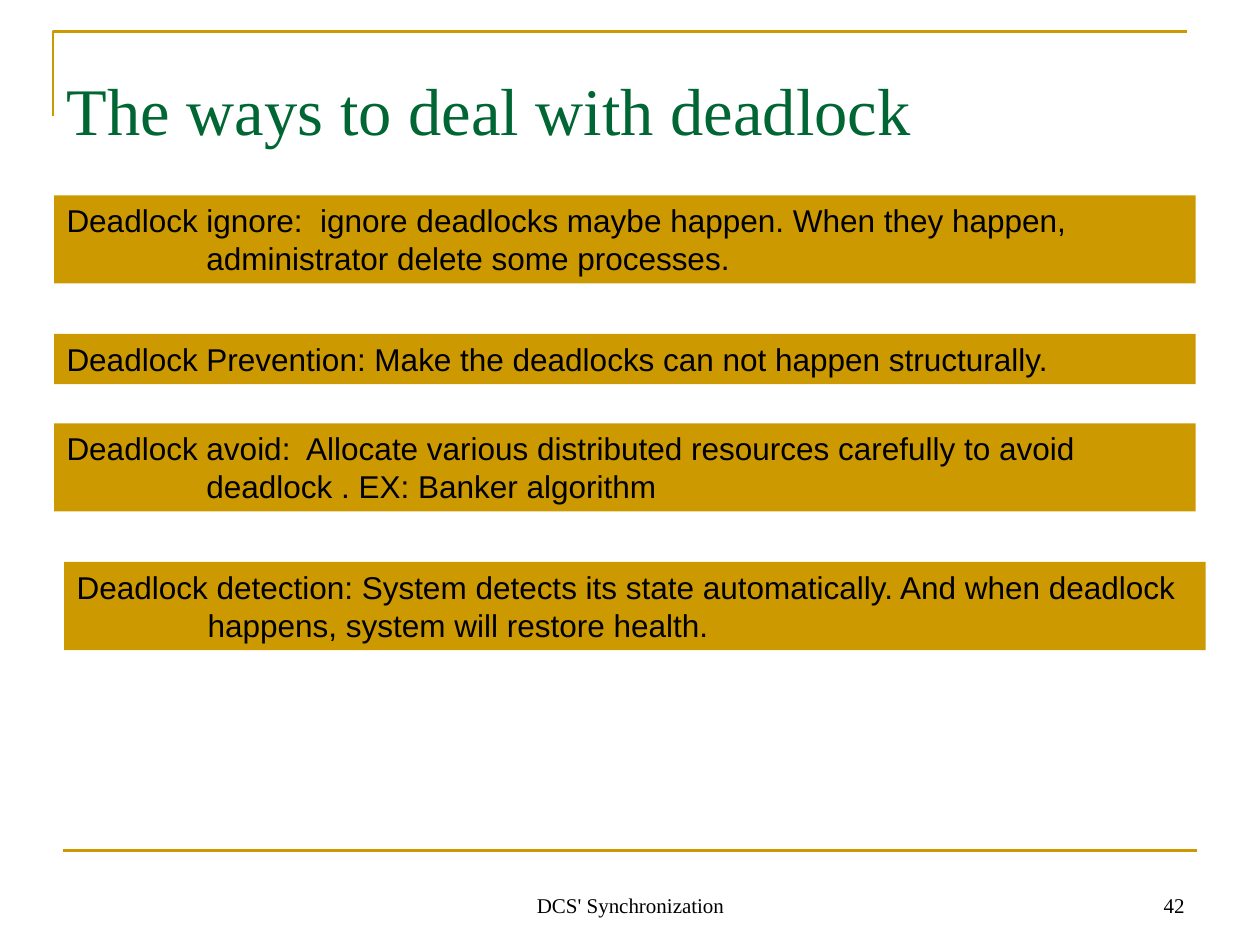
from pptx import Presentation
from pptx.dml.color import RGBColor
from pptx.enum.shapes import MSO_CONNECTOR, MSO_SHAPE
from pptx.enum.text import MSO_ANCHOR, PP_ALIGN
from pptx.oxml.ns import qn
from pptx.util import Inches, Pt

LINE, RECT = MSO_CONNECTOR.STRAIGHT, MSO_SHAPE.RECTANGLE
TOP, LOW = MSO_ANCHOR.TOP, MSO_ANCHOR.BOTTOM
LEFT, MID, RIGHT = PP_ALIGN.LEFT, PP_ALIGN.CENTER, PP_ALIGN.RIGHT
GOLD, GREEN, BLACK = "CC9900", "006633", "000000"
SERIF, SANS = "Times New Roman", "Arial"


def paint(part, tone):
    part.rgb = RGBColor.from_string(tone)


def write(shape, lines, size, face, tone, align, anchor):
    frame = shape.text_frame
    frame.word_wrap = True
    frame.vertical_anchor = anchor
    para = frame.paragraphs[0]
    para.alignment = align
    for num, line in enumerate(lines):
        if num:
            para.add_line_break()
        run = para.add_run()
        run.text = line
        run.font.size = Pt(size)
        run.font.name = face
        paint(run.font.color, tone)
    return para


deck = Presentation()
deck.slide_width, deck.slide_height = Inches(10), Inches(7.5)
slide = deck.slides.add_slide(deck.slide_layouts[5])
shapes = slide.shapes

pen = shapes.build_freeform(Inches(0.42), Inches(0.92), scale=1.0)
pen.add_line_segments([(Inches(0.42), Inches(0.25)), (Inches(9.42), Inches(0.25))], close=False)
frame = pen.convert_to_shape()
frame.shadow.inherit = False
frame.fill.background()

rule = shapes.add_connector(LINE, Inches(0.5), Inches(6.75), Inches(9.5), Inches(6.75))
props = rule._element.spPr
for edge in (frame, rule):
    edge.line.width = Pt(1.5)
    edge.line.fill.solid()
    paint(edge.line.color, GOLD)
props.append(props.makeelement(qn("a:effectLst"), {}))

for left, wide, text, align in (
    (3.42, 3.17, "DCS' Synchronization", MID),
    (7.17, 2.33, "42", RIGHT),
):
    box = shapes.add_textbox(Inches(left), Inches(6.83), Inches(wide), Inches(0.5))
    write(box, [text], 12, SERIF, BLACK, align, LOW)

title = shapes.title
title.left, title.top = Inches(0.43), Inches(0.44)
title.width, title.height = Inches(9), Inches(0.69)
write(title, ["The ways to deal with deadlock"], 38, SERIF, GREEN, LEFT, TOP)
title.text_frame.margin_top = Inches(0.11)
title.text_frame.margin_bottom = 0

ways = (
    (0.43, 1.55, 1.11, ["Deadlock ignore:  ignore deadlocks maybe happen. When they happen,",
                        "administrator delete some processes."]),
    (0.43, 2.65, 0, ["Deadlock Prevention: Make the deadlocks can not happen structurally."]),
    (0.43, 3.36, 1.11, ["Deadlock avoid:  Allocate various distributed resources carefully to avoid",
                        "deadlock . EX: Banker algorithm"]),
    (0.51, 4.46, 1.04, ["Deadlock detection: System detects its state automatically. And when deadlock",
                        "happens, system will restore health."]),
)
for left, top, hang, lines in ways:
    high = 0.1 + 0.3 * len(lines)
    bar = shapes.add_shape(RECT, Inches(left), Inches(top), Inches(9.06), Inches(high))
    bar.shadow.inherit = False
    bar.fill.solid()
    paint(bar.fill.fore_color, GOLD)
    bar.line.fill.background()
    para = write(bar, lines, 18, SANS, BLACK, LEFT, TOP)
    indent = para._p.get_or_add_pPr()
    indent.set("marL", str(Inches(hang)))
    indent.set("indent", str(-Inches(hang)))

deck.save("out.pptx")
